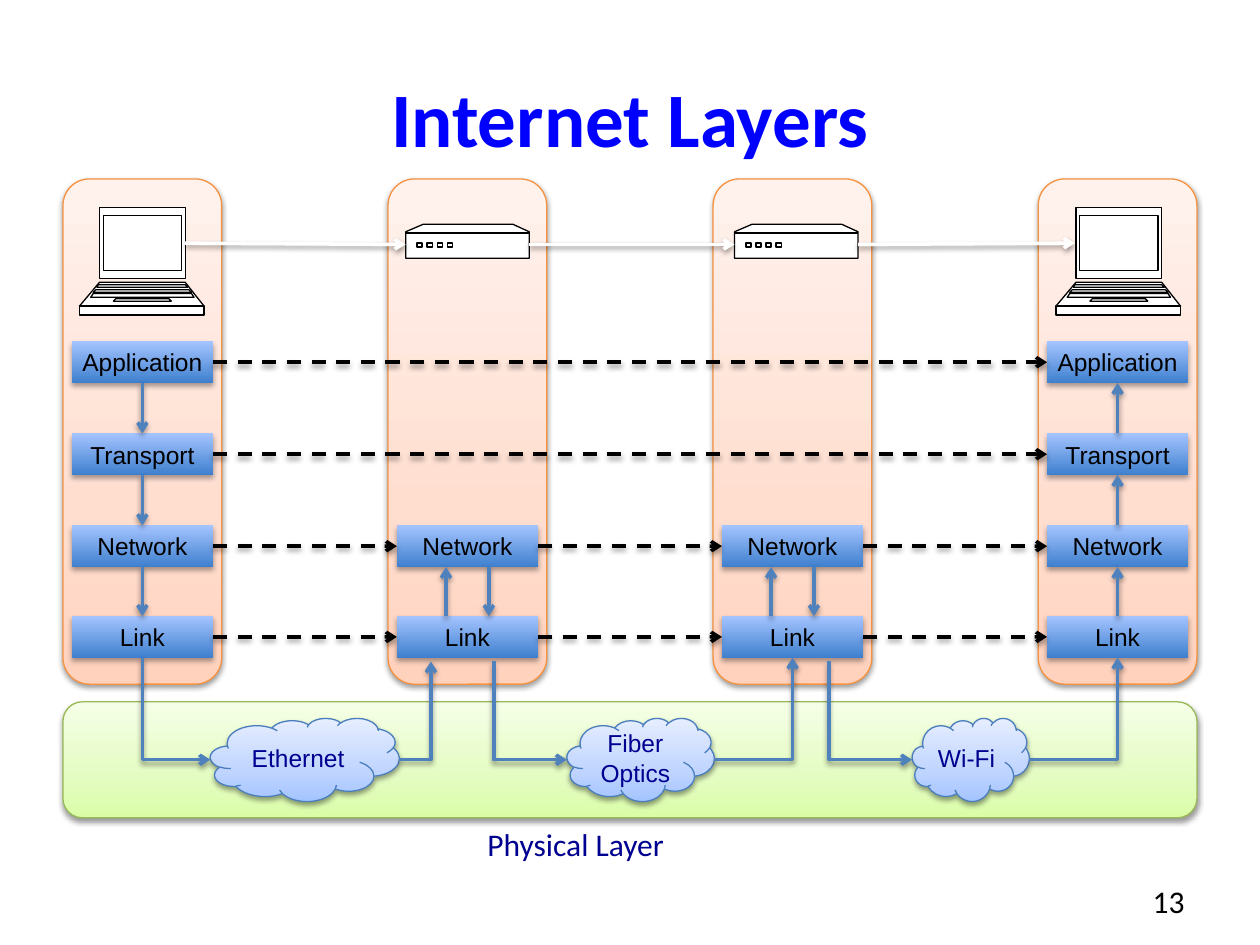
from pptx import Presentation
from pptx.dml.color import RGBColor
from pptx.enum.dml import MSO_LINE
from pptx.enum.shapes import MSO_CONNECTOR, MSO_SHAPE
from pptx.enum.text import MSO_ANCHOR, PP_ALIGN
from pptx.oxml import parse_xml
from pptx.oxml.ns import nsdecls, qn
from pptx.util import Inches, Pt

STRAIGHT, ELBOW = MSO_CONNECTOR.STRAIGHT, MSO_CONNECTOR.ELBOW
RECTANGLE, ROUNDED, CLOUD = MSO_SHAPE.RECTANGLE, MSO_SHAPE.ROUNDED_RECTANGLE, MSO_SHAPE.CLOUD
LEFT, CENTER, RIGHT = PP_ALIGN.LEFT, PP_ALIGN.CENTER, PP_ALIGN.RIGHT
MIDDLE, TOP = MSO_ANCHOR.MIDDLE, MSO_ANCHOR.TOP

BLUE, NAVY, BLACK, WHITE = "4F81BD", "000090", "000000", "FFFFFF"
ORANGE_FADE = [(0, "FFD2BD"), (35, "FFDED0"), (100, "FFF2ED")]
GREEN_FADE = [(0, "DAFDA7"), (35, "E4FCC2"), (100, "F5FFE7")]
LAYER_FADE = [(0, "3F80CE"), (100, "A4C4FF")]
CLOUD_FADE = [(0, "A4C4FF"), (35, "BFD4FF"), (100, "E6EEFF")]

LAYER_TOPS = {"Application": 2.71, "Transport": 3.44, "Network": 4.17, "Link": 4.89}
HOST_LAYERS = ["Application", "Transport", "Network", "Link"]
ROUTER_LAYERS = ["Network", "Link"]
COLUMN_LEFTS = [0.5 + 2.58 * index for index in range(4)]
COLUMN_TOP, COLUMN_WIDTH, COLUMN_HEIGHT = 1.42, 1.26, 4.01
BOX_INSET, BOX_WIDTH, BOX_HEIGHT = 0.07, 1.12, 0.33
CLOUD_TOP, CLOUD_HEIGHT = 5.7, 0.66
CLOUDS = [
    ("Ethernet", 1.67, 1.5, (1.13, 5.22), (3.42, 5.25)),
    ("Fiber Optics", 4.5, 1.17, (3.92, 5.25), (6.29, 5.22)),
    ("Wi-Fi", 7.24, 0.93, (6.58, 5.25), (8.87, 5.22)),
]
DEVICE_ARROWS = [((1.47, 1.93), (3.22, 1.94)), ((4.2, 1.94), (5.83, 1.94)), ((6.81, 1.94), (8.53, 1.93))]
LAPTOP_LEFTS, ROUTER_LEFTS = [0.63, 8.38], [3.22, 5.83]


def trapezoid(top_left, top_right, top, bottom_left, bottom_right, bottom):
    return [(top_left, top), (top_right, top), (bottom_right, bottom), (bottom_left, bottom)]


def box(left, top, right, bottom):
    return trapezoid(left, right, top, left, right, bottom)


LAPTOP = [
    box(0.16, 1.65, 0.84, 2.21),
    trapezoid(0.16, 0.84, 2.24, 0, 0.99, 2.43),
    box(0, 2.43, 0.99, 2.5),
    box(0.19, 1.71, 0.81, 2.15),
    trapezoid(0.15, 0.84, 2.26, 0.14, 0.86, 2.28),
    trapezoid(0.29, 0.71, 2.37, 0.27, 0.73, 2.39),
    trapezoid(0.13, 0.87, 2.3, 0.11, 0.89, 2.32),
    trapezoid(0.11, 0.89, 2.33, 0.09, 0.91, 2.36),
]
ROUTER = [
    [(0, 1.84), (0.14, 1.78), (0.85, 1.78), (0.98, 1.84), (0.98, 2.05), (0, 2.05)],
    [(0, 1.85), (0.98, 1.85)],
] + [box(0.09 + 0.08 * port, 1.93, 0.13 + 0.08 * port, 1.96) for port in range(4)]

presentation = Presentation()
presentation.slide_width, presentation.slide_height = Inches(10), Inches(7.5)
slide = presentation.slides.add_slide(presentation.slide_layouts[6])
shapes = slide.shapes


def color(value):
    return RGBColor.from_string(value)


def add_shadow(shape, opacity=38, distance=1.6):
    properties = shape._element.spPr
    for effects in properties.findall(qn("a:effectLst")):
        properties.remove(effects)
    properties.append(parse_xml(
        f'<a:effectLst {nsdecls("a")}><a:outerShdw blurRad="{Pt(3.1)}" dist="{Pt(distance)}" '
        f'dir="5400000" rotWithShape="0"><a:srgbClr val="000000">'
        f'<a:alpha val="{opacity * 1000}"/></a:srgbClr></a:outerShdw></a:effectLst>'))


def write(shape, text, size, font, text_color, align=CENTER, anchor=MIDDLE, bold=False, wrap=True):
    frame = shape.text_frame
    frame.word_wrap = wrap
    frame.vertical_anchor = anchor
    paragraph = frame.paragraphs[0]
    paragraph.text = text
    paragraph.alignment = align
    paragraph.font.size = Pt(size)
    paragraph.font.name = font
    paragraph.font.bold = bold
    paragraph.font.color.rgb = color(text_color)


def add_text(text, left, top, width, height, **style):
    shape = shapes.add_textbox(Inches(left), Inches(top), Inches(width), Inches(height))
    write(shape, text, **style)


def add_panel(kind, left, top, width, height, fade, outline=None, text="", text_color=BLACK):
    shape = shapes.add_shape(kind, Inches(left), Inches(top), Inches(width), Inches(height))
    shape.fill.gradient()
    shape.fill.gradient_angle = 90
    stops = "".join(f'<a:gs pos="{position * 1000}"><a:srgbClr val="{value}"/></a:gs>'
                    for position, value in fade)
    gradient = shape._element.spPr.find(qn("a:gradFill"))
    gradient.replace(gradient.find(qn("a:gsLst")),
                     parse_xml(f'<a:gsLst {nsdecls("a")}>{stops}</a:gsLst>'))
    if outline:
        shape.line.color.rgb = color(outline)
        shape.line.width = Pt(0.75)
        add_shadow(shape)
    else:
        shape.line.fill.background()
        add_shadow(shape, 35, 1.8)
    if text:
        shape.text_frame.margin_left = shape.text_frame.margin_right = 0
        write(shape, text, 14, "Arial", text_color)


def add_arrow(start, end, line_color=BLUE, kind=STRAIGHT, dashed=False, arrow_end="tailEnd"):
    arrow = shapes.add_connector(kind, *(Inches(value) for value in (*start, *end)))
    if kind == ELBOW:
        arrow._element.spPr.find(qn("a:prstGeom")).set("prst", "bentConnector2")
    arrow.line.color.rgb = color(line_color)
    arrow.line.width = Pt(2)
    if dashed:
        arrow.line.dash_style = MSO_LINE.DASH
    arrow.line._get_or_add_ln().append(parse_xml(f'<a:{arrow_end} {nsdecls("a")} type="arrow"/>'))
    add_shadow(arrow)


def add_device(outlines, left):
    group = shapes.add_group_shape()
    for outline in outlines:
        points = [(Inches(left + x), Inches(y)) for x, y in outline]
        builder = group.shapes.build_freeform(*points[0])
        builder.add_line_segments(points[1:], close=len(points) > 2)
        part = builder.convert_to_shape()
        part.shadow.inherit = False
        part.fill.solid()
        part.fill.fore_color.rgb = color(WHITE)
        part.line.color.rgb = color(BLACK)
        part.line.width = Pt(0.75)


add_panel(ROUNDED, 0.5, 5.57, 9, 0.92, GREEN_FADE, "98B955")
add_text("Internet Layers", 0.5, 0.3, 9, 1.25, size=44, font="Calibri", text_color="0000FF", bold=True)

for index, column_left in enumerate(COLUMN_LEFTS):
    is_host = index in (0, 3)
    layers = HOST_LAYERS if is_host else ROUTER_LAYERS
    add_panel(ROUNDED, column_left, COLUMN_TOP, COLUMN_WIDTH, COLUMN_HEIGHT, ORANGE_FADE, "F69240")
    for layer in layers:
        add_panel(RECTANGLE, column_left + BOX_INSET, LAYER_TOPS[layer], BOX_WIDTH, BOX_HEIGHT,
                  LAYER_FADE, text=layer)
    center = column_left + COLUMN_WIDTH / 2
    for upper, lower in zip(layers, layers[1:]):
        above = LAYER_TOPS[upper] + BOX_HEIGHT
        below = LAYER_TOPS[lower]
        if index != 3:
            x = center if is_host else center + 0.17
            add_arrow((x, above), (x, below))
        if index != 0:
            x = center if is_host else center - 0.17
            add_arrow((x, below), (x, above))

for left in LAPTOP_LEFTS:
    add_device(LAPTOP, left)
for left in ROUTER_LEFTS:
    add_device(ROUTER, left)

for name, left, width, source, target in CLOUDS:
    add_panel(CLOUD, left, CLOUD_TOP, width, CLOUD_HEIGHT, CLOUD_FADE, "4B7EBC", name, NAVY)
    middle = CLOUD_TOP + CLOUD_HEIGHT / 2
    add_arrow((left, middle), source, kind=ELBOW, arrow_end="headEnd")
    add_arrow((left + width, middle), target, kind=ELBOW)

for start, end in DEVICE_ARROWS:
    add_arrow(start, end, WHITE)

for layer, top in LAYER_TOPS.items():
    stations = COLUMN_LEFTS if layer in ROUTER_LAYERS else [COLUMN_LEFTS[0], COLUMN_LEFTS[-1]]
    y = top + BOX_HEIGHT / 2
    for here, there in zip(stations, stations[1:]):
        add_arrow((here + BOX_INSET + BOX_WIDTH, y), (there + BOX_INSET, y), BLACK, dashed=True)

add_text("Physical Layer", 3.77, 6.5, 1.62, 0.4, size=18, font="Calibri", text_color=NAVY,
         align=LEFT, anchor=TOP, wrap=False)
add_text("13", 7.17, 6.95, 2.33, 0.4, size=18, font="Calibri", text_color=BLACK, align=RIGHT, anchor=TOP)

presentation.save("out.pptx")
